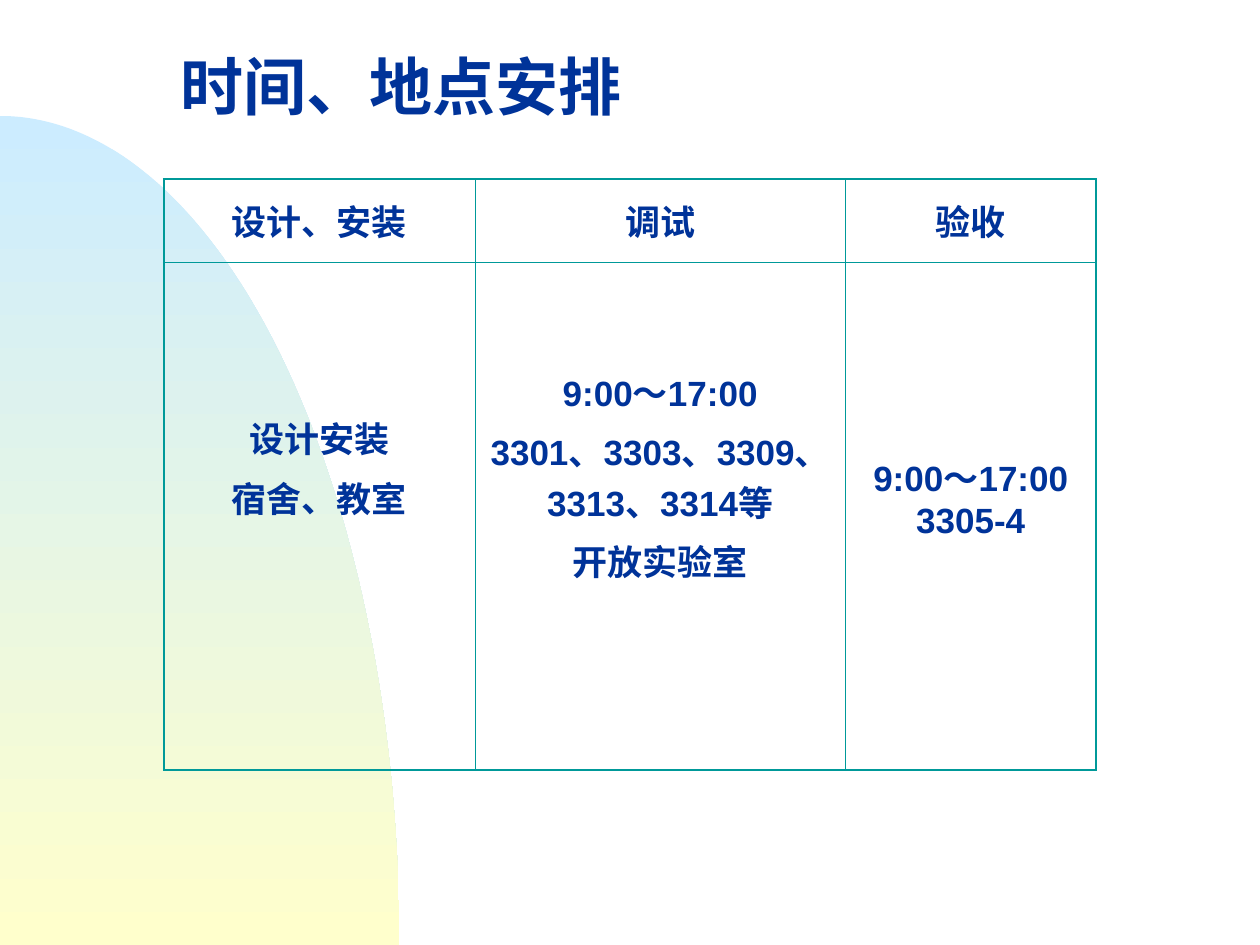
"""Build a slide with a table of times and places over a shaded quarter ellipse."""
from math import cos, pi, sin

from lxml.etree import SubElement
from pptx import Presentation
from pptx.dml.color import RGBColor
from pptx.enum.text import MSO_ANCHOR as Anchor, PP_ALIGN as Align
from pptx.oxml.ns import qn
from pptx.util import Inches, Pt

NAVY = RGBColor(0x00, 0x33, 0x99)
TEAL = RGBColor(0x00, 0x99, 0x99)
SKY = RGBColor(0xCC, 0xEC, 0xFF)
CREAM = RGBColor(0xFF, 0xFF, 0xCC)


def format_font(font, name, size):
    values = {"name": name, "size": Pt(size), "bold": True}
    for attribute, value in values.items():
        setattr(font, attribute, value)
    font.color.rgb = NAVY


def add_border(cell, side, width):
    line = SubElement(cell._tc.get_or_add_tcPr(), qn(f"a:ln{side}"), w=str(Pt(width)))
    fill = SubElement(line, qn("a:solidFill"))
    SubElement(fill, qn("a:srgbClr"), val=str(TEAL))


presentation = Presentation()
presentation.slide_width = Inches(10)
presentation.slide_height = Inches(7.5)
slide = presentation.slides.add_slide(presentation.slide_layouts[5])

radius_x, radius_y, steps = 3.17, 6.58, 90
angles = [pi / 2 * step / steps for step in range(steps + 1)]
curve = [
    (Inches(radius_x * sin(angle)), Inches(7.5 - radius_y * cos(angle)))
    for angle in angles
]
builder = slide.shapes.build_freeform(*curve[0])
builder.add_line_segments(curve[1:] + [(0, Inches(7.5))], close=True)
ellipse = builder.convert_to_shape()
ellipse.shadow.inherit = False
ellipse.line.fill.background()
ellipse.fill.gradient()
ellipse.fill.gradient_angle = 270
for stop, color, position in zip(ellipse.fill.gradient_stops, (SKY, CREAM), (0, 1)):
    stop.color.rgb = color
    stop.position = position

title = slide.shapes.title
title_box = {"left": 1.33, "top": 0.25, "width": 8.08, "height": 1}
for attribute, value in title_box.items():
    setattr(title, attribute, Inches(value))
title.text_frame.text = "时间、地点安排"
title.text_frame.vertical_anchor = Anchor.MIDDLE
paragraph = title.text_frame.paragraphs[0]
paragraph.alignment = Align.LEFT
paragraph.line_spacing = 0.7
format_font(paragraph.font, "Arial Narrow", 36)

headings = ["设计、安装", "调试", "验收"]
details = [
    "设计安装\n宿舍、教室",
    "9:00～17:00\n3301、3303、3309、3313、3314等\n开放实验室",
    "9:00～17:00\n3305-4",
]
detail_offsets = [1.19, 0.82, 1.5]
detail_gaps = [5, 5, 0]
column_widths = [2.47, 2.94, 1.99]
row_heights = [0.66, 4.03]

table = slide.shapes.add_table(
    2, 3, Inches(1.3), Inches(1.42), Inches(7.4), Inches(4.69)
).table
table.first_row = table.horz_banding = False
for column, width in zip(table.columns, column_widths):
    column.width = Inches(width)
for row, height in zip(table.rows, row_heights):
    row.height = Inches(height)

for row_index, texts in enumerate((headings, details)):
    for column_index, text in enumerate(texts):
        cell = table.cell(row_index, column_index)
        cell.text = text
        cell.vertical_anchor = Anchor.TOP if row_index else Anchor.MIDDLE
        if row_index:
            cell.margin_top = Inches(detail_offsets[column_index])
        outer_sides = {
            "L": column_index == 0,
            "R": column_index == 2,
            "T": row_index == 0,
            "B": row_index == 1,
        }
        for side, is_outer in outer_sides.items():
            add_border(cell, side, 1.08 if is_outer else 0.45)
        cell.fill.background()
        for index, paragraph in enumerate(cell.text_frame.paragraphs):
            paragraph.alignment = Align.CENTER
            paragraph.space_before = Pt(detail_gaps[column_index] if index else 0)
            format_font(paragraph.font, "Arial", 20)

presentation.save("out.pptx")
